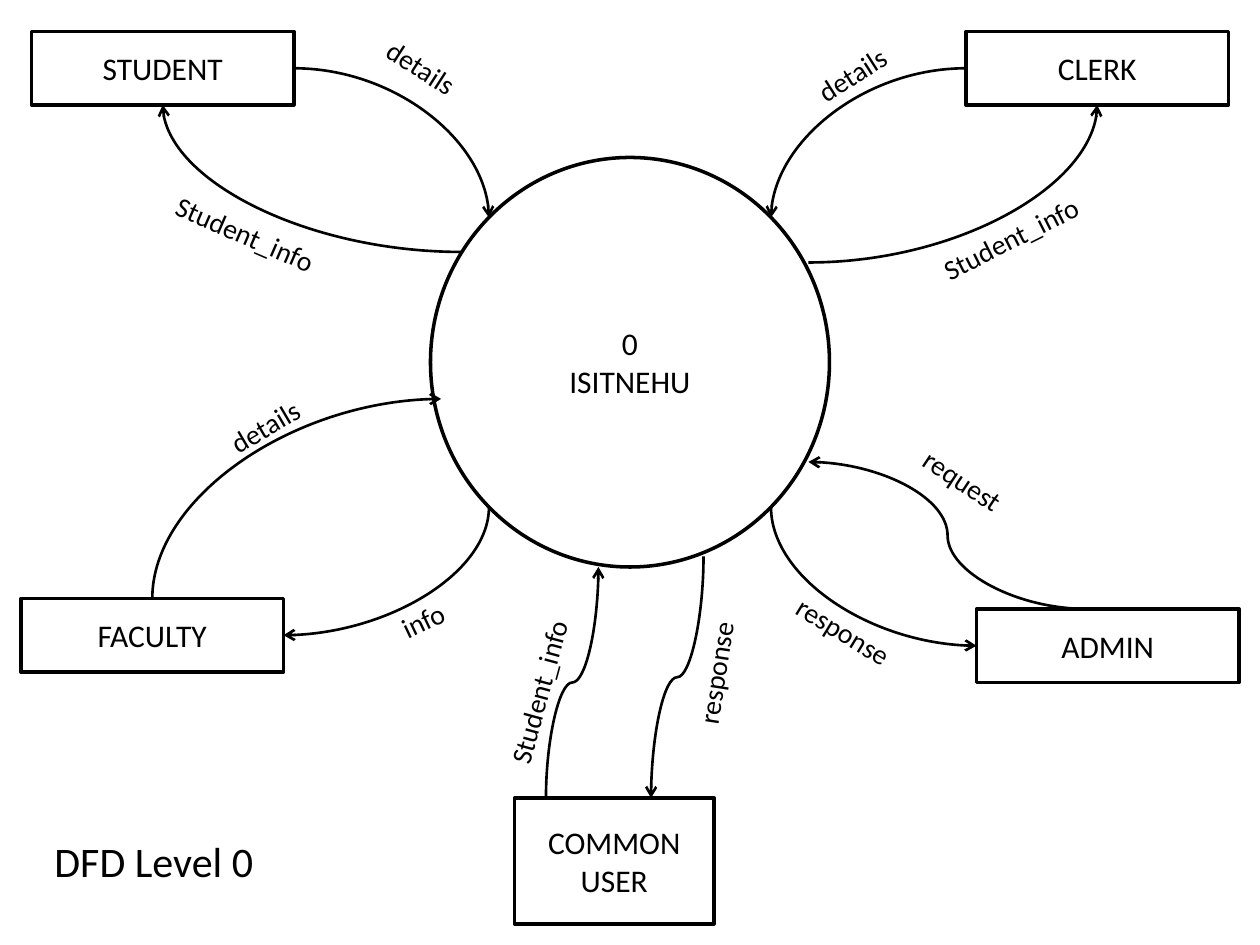
import pptx
import pptx.util
import pptx.dml.color
import pptx.enum.shapes
import pptx.enum.text
import pptx.oxml
import pptx.oxml.ns

Pt = pptx.util.Pt
RGBColor = pptx.dml.color.RGBColor
Shape = pptx.enum.shapes.MSO_SHAPE
Curve = pptx.enum.shapes.MSO_CONNECTOR.CURVE
Align = pptx.enum.text.PP_ALIGN
Anchor = pptx.enum.text.MSO_ANCHOR
qn = pptx.oxml.ns.qn

BLACK = RGBColor(0, 0, 0)
WHITE = RGBColor(255, 255, 255)


def style(frame, size, align):
    """Set font and alignment of all text in a frame."""
    for para in frame.paragraphs:
        para.alignment = align
        for run in para.runs:
            run.font.name = "Calibri"
            run.font.size = Pt(size)
            run.font.color.rgb = BLACK


def node(slide, box, kind, text):
    """Draw an outlined shape with centred text in the box."""
    shape = slide.shapes.add_shape(kind, *map(Pt, box))
    shape.shadow.inherit = False
    shape.fill.solid()
    shape.fill.fore_color.rgb = WHITE
    shape.line.color.rgb = BLACK
    shape.line.width = Pt(2)
    frame = shape.text_frame
    frame.text = text
    frame.word_wrap = True
    frame.vertical_anchor = Anchor.MIDDLE
    style(frame, 18, Align.CENTER)


def label(slide, box, text, size=16, angle=0, wrap=True):
    """Write one line of text, turned by the angle."""
    shape = slide.shapes.add_textbox(*map(Pt, box))
    shape.rotation = angle
    shape.text_frame.text = text
    shape.text_frame.word_wrap = wrap
    style(shape.text_frame, size, Align.LEFT)


def arrow(slide, start, end, way, bends):
    """Draw a curved arrow that leaves start along way, "h" or "v"."""
    (x1, y1), (x2, y2) = start, end
    if way == "v":
        # A quarter turn about the centre maps these points to start and end.
        cx, cy = (x1 + x2) / 2, (y1 + y2) / 2
        dx, dy = (x2 - x1) / 2, (y2 - y1) / 2
        x1, y1, x2, y2 = cx - dy, cy + dx, cx + dy, cy - dx
    line = slide.shapes.add_connector(Curve, *map(Pt, (x1, y1, x2, y2)))
    line.line.color.rgb = BLACK
    line.line.width = Pt(1.5)
    props = line._element.spPr
    if way == "v":
        props.find(qn("a:xfrm")).set("rot", "5400000")
    props.find(qn("a:prstGeom")).set("prst", f"curvedConnector{bends}")
    tail = pptx.oxml.parse_xml(
        '<a:tailEnd xmlns:a="http://schemas.openxmlformats.org/'
        'drawingml/2006/main" type="arrow"/>')
    props.find(qn("a:ln")).append(tail)
    props.append(props.makeelement(qn("a:effectLst"), {}))


def party(slide, box, name, flows):
    """Draw an entity and its flows, placed from the box's top left."""
    left, top = box[:2]
    node(slide, box, Shape.RECTANGLE, name)
    for start, end, way, bends, text, (x, y, width), angle in flows:
        ends = [(left + a, top + b) for a, b in (start, end)]
        arrow(slide, *ends, way, bends)
        label(slide, (left + x, top + y, width, 26.6), text, angle=angle)


# Flow: start, end, way, bends, text, (left, top, width) of text, angle
PARTIES = [
    ((18, 18, 150, 42), "STUDENT", [
        ((150, 21), (261.4, 106.3), "h", 2, "details", (189.4, 24.5, 120), 32.8),
        ((246, 126), (75, 42), "h", 2, "Student_info", (72, 108, 126), 23.5)]),
    ((12, 342, 150, 42), "FACULTY", [
        ((75, 0), (240, -114), "v", 2, "details", (107.5, -124.6, 108), 329.5),
        ((267.4, -52.3), (150, 21), "v", 2, "info", (206.2, -18, 120), 334.7)]),
    ((552, 18, 150, 42), "CLERK", [
        ((0, 21), (-111.4, 106.3), "h", 2, "details", (-98.4, -5.8, 120), 327.5),
        ((-90, 132), (75, 42), "h", 2, "Student_info", (-25, 98.6, 126), 333.2)]),
    ((558, 348, 150, 42), "ADMIN", [
        ((63, 0), (-96, -84), "h", 3, "request", (-45.4, -68, 132), 33.6),
        ((-117.4, -58.3), (0, 21), "v", 2, "response", (-117.4, 16.3, 138), 31.6)]),
    ((294, 456, 114, 72), "COMMON USER", [
        ((18, 0), (48, -132), "v", 3, "Student_info", (-45.6, -87.4, 126), 285.1),
        ((108, -138), (78, 0), "v", 3, "response", (50.9, -117, 138), 278.8)]),
]

deck = pptx.Presentation()
deck.slide_width, deck.slide_height = Pt(720), Pt(540)
page = deck.slides.add_slide(deck.slide_layouts[6])
node(page, (246, 90, 228, 234), Shape.OVAL, "0\nISITNEHU")
for box, name, flows in PARTIES:
    party(page, box, name, flows)
label(page, (24, 474, 129, 36), "DFD Level 0", size=24, wrap=False)
deck.save("out.pptx")
